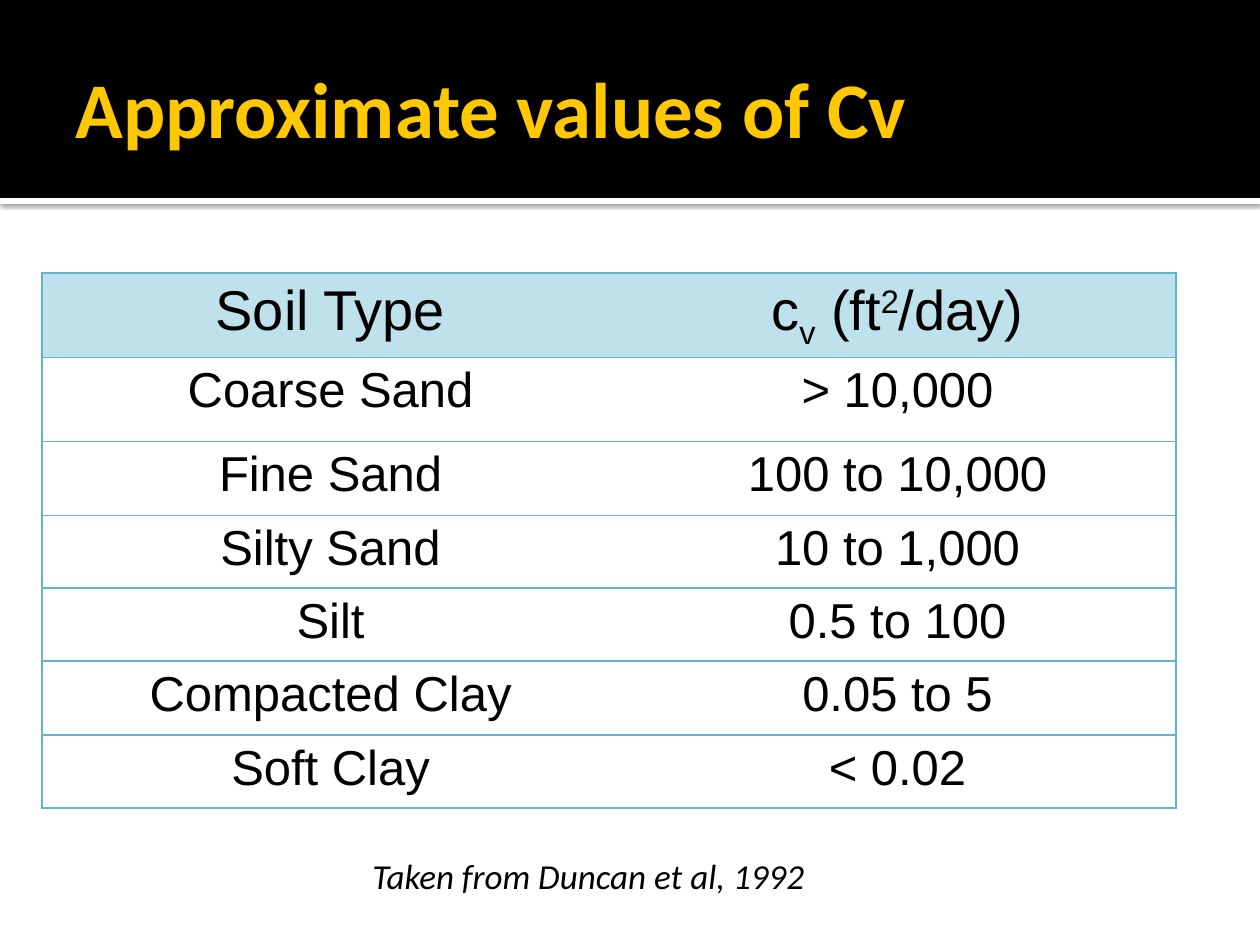
from dataclasses import dataclass

from lxml.etree import SubElement
from pptx import Presentation
from pptx.dml.color import RGBColor
from pptx.enum.shapes import MSO_SHAPE
from pptx.enum.text import MSO_ANCHOR, PP_ALIGN
from pptx.oxml.ns import qn
from pptx.util import Emu, Pt

PX_PER_INCH = 126
BLACK = RGBColor(0x00, 0x00, 0x00)
WHITE = RGBColor(0xFF, 0xFF, 0xFF)
YELLOW = RGBColor(0xFF, 0xC8, 0x00)
PALE_BLUE = RGBColor(0xBF, 0xE1, 0xEB)
BORDER_BLUE = RGBColor(0x60, 0xB5, 0xCC)


@dataclass(frozen=True)
class Box:
    left: int
    top: int
    width: int
    height: int

    def emu(self) -> list[Emu]:
        return [px(n) for n in (self.left, self.top, self.width, self.height)]


@dataclass(frozen=True)
class Span:
    text: str
    baseline: int = 0


@dataclass(frozen=True)
class Row:
    soil: list[Span]
    coefficient: list[Span]
    height: int
    size: int = 28
    fill: RGBColor = WHITE


ROWS = [
    Row([Span("Soil Type")],
        [Span("c"), Span("v", -25), Span(" (ft"), Span("2", 30), Span("/day)")],
        84, 32, PALE_BLUE),
    Row([Span("Coarse Sand")], [Span("> 10,000")], 84),
    Row([Span("Fine Sand")], [Span("100 to 10,000")], 74),
    Row([Span("Silty Sand")], [Span("10 to 1,000")], 73),
    Row([Span("Silt")], [Span("0.5 to 100")], 73),
    Row([Span("Compacted Clay")], [Span("0.05 to 5")], 74),
    Row([Span("Soft Clay")], [Span("< 0.02")], 73),
]
COLUMN_WIDTHS = [577, 557]
TABLE_LEFT, TABLE_TOP = 42, 273


def px(length: int) -> Emu:
    return Emu(round(length * 914400 / PX_PER_INCH))


def write(para, spans: list[Span], color: RGBColor, **formats) -> None:
    for span in spans:
        run = para.add_run()
        run.text = span.text
        run.font.color.rgb = color
        for name, value in formats.items():
            setattr(run.font, name, value)
        if span.baseline:
            run.font._element.set("baseline", str(span.baseline * 1000))


def add_band(page, box: Box, color: RGBColor):
    band = page.shapes.add_shape(MSO_SHAPE.RECTANGLE, *box.emu())
    band.shadow.inherit = False
    band.fill.solid()
    band.fill.fore_color.rgb = color
    band.line.fill.background()
    return band


def add_soft_shadow(shape) -> None:
    effects = shape._element.spPr.find(qn("a:effectLst"))
    shadow = SubElement(effects, qn("a:outerShdw"), blurRad=str(Pt(2.5)),
                        dist=str(Pt(0.8)), dir="5400000", algn="t", rotWithShape="0")
    color = SubElement(shadow, qn("a:srgbClr"), val=str(BLACK))
    SubElement(color, qn("a:alpha"), val="60000")


def set_borders(cell, hidden_side: str) -> None:
    """Line every side of the cell except the one between the columns."""
    properties = cell._tc.get_or_add_tcPr()
    for side in "LRTB":
        line = SubElement(properties, qn(f"a:ln{side}"), w=str(Pt(1)))
        if side == hidden_side:
            SubElement(line, qn("a:noFill"))
        else:
            fill = SubElement(line, qn("a:solidFill"))
            SubElement(fill, qn("a:srgbClr"), val=str(BORDER_BLUE))


def add_soil_table(page) -> None:
    box = Box(TABLE_LEFT, TABLE_TOP, sum(COLUMN_WIDTHS), sum(row.height for row in ROWS))
    table = page.shapes.add_table(len(ROWS), len(COLUMN_WIDTHS), *box.emu()).table
    table.first_row = table.horz_banding = False
    for column, width in zip(table.columns, COLUMN_WIDTHS):
        column.width = px(width)
    for index, row in enumerate(ROWS):
        table.rows[index].height = px(row.height)
        for cell, spans, hidden_side in zip(
                table.rows[index].cells, (row.soil, row.coefficient), "RL"):
            set_borders(cell, hidden_side)
            cell.fill.solid()
            cell.fill.fore_color.rgb = row.fill
            para = cell.text_frame.paragraphs[0]
            para.alignment = PP_ALIGN.CENTER
            write(para, spans, BLACK, name="Arial", size=Pt(row.size), bold=False)


def format_title(title) -> None:
    title.left, title.top, title.width, title.height = Box(63, 21, 1134, 173).emu()
    frame = title.text_frame
    frame_formats = {"vertical_anchor": MSO_ANCHOR.MIDDLE, "word_wrap": True,
                     "margin_left": Pt(7.2), "margin_right": Pt(3.6),
                     "margin_top": Pt(3.6), "margin_bottom": Pt(3.6)}
    for name, value in frame_formats.items():
        setattr(frame, name, value)
    para = frame.paragraphs[0]
    para.alignment = PP_ALIGN.LEFT
    write(para, [Span("Approximate values of Cv")], YELLOW,
          name="Calibri", size=Pt(45), bold=True)


def add_citation(page) -> None:
    frame = page.shapes.add_textbox(*Box(32, 848, 1113, 54).emu()).text_frame
    frame.word_wrap = True
    para = frame.paragraphs[0]
    para.alignment = PP_ALIGN.CENTER
    write(para, [Span("Taken from Duncan et al, 1992")], BLACK,
          name="Calibri", size=Pt(20), italic=True)


def main() -> None:
    deck = Presentation()
    deck.slide_width, deck.slide_height = px(1260), px(945)
    page = deck.slides.add_slide(deck.slide_layouts[5])
    title = page.shapes.title
    add_soft_shadow(add_band(page, Box(0, 198, 1260, 6), WHITE))
    add_band(page, Box(0, 0, 1260, 198), BLACK)
    # Appending the placeholder again lifts it above the bands.
    title.element.getparent().append(title.element)
    format_title(title)
    add_soil_table(page)
    add_citation(page)
    deck.save("out.pptx")


if __name__ == "__main__":
    main()
